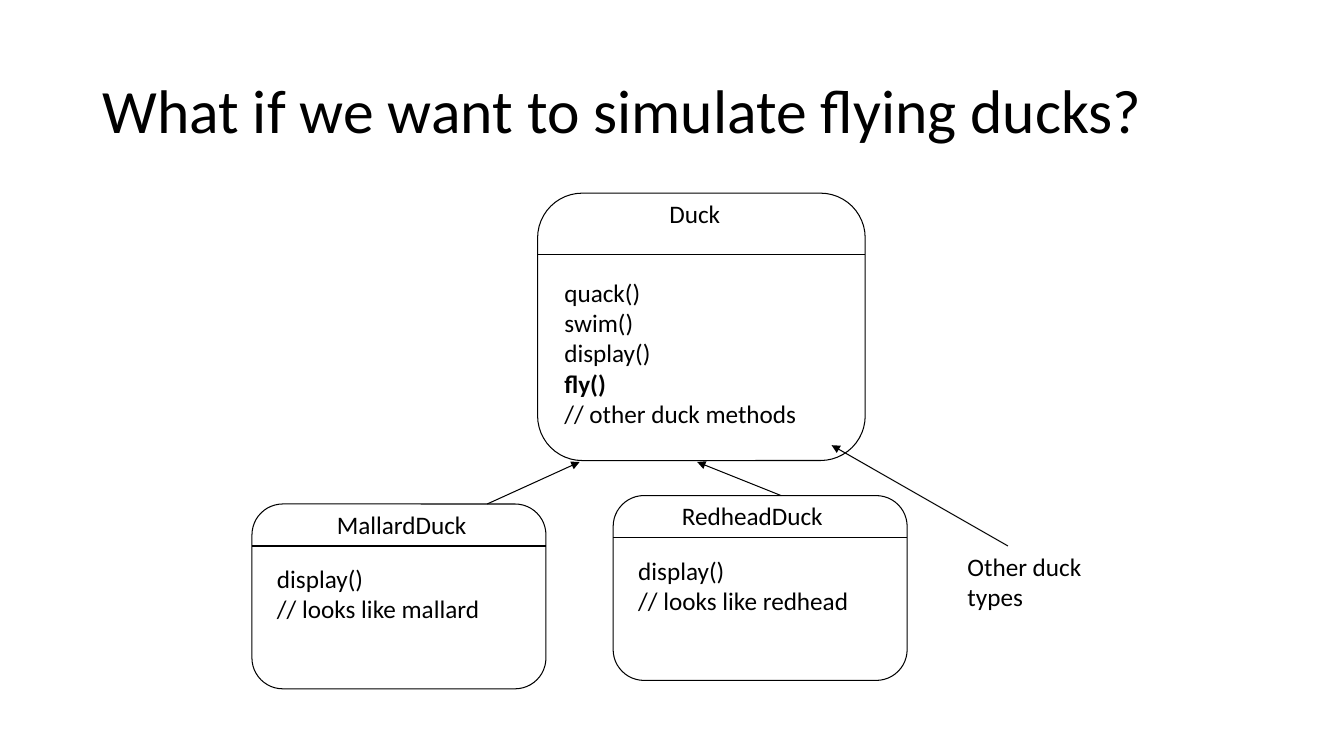
from lxml import etree
from pptx import Presentation
from pptx import util as u
from pptx.dml import color
from pptx.enum import shapes, text
from pptx.oxml import ns

Pt = u.Pt


def ink(value):
    """Turn a hex string into a colour."""
    return color.RGBColor.from_string(value)


class ClassDiagram:
    """Draws class boxes, labels and arrows on one slide in one style."""

    black = "000000"
    font = {"name": "Calibri", "size": Pt(18), "bold": False}

    def __init__(self, slide):
        """Keep the slide that is drawn on."""
        self.slide = slide

    def style_text(self, para, **changes):
        """Apply the shared font with any changes."""
        for key, value in {**self.font, **changes}.items():
            setattr(para.font, key, value)
        para.font.color.rgb = ink(self.black)

    def style_line(self, item):
        """Give an outline or line the shared pen."""
        item.line.color.rgb = ink(self.black)
        item.line.width = Pt(0.75)

    def title(self, words, left, top, width, height):
        """Place and format the title placeholder."""
        title = self.slide.shapes.title
        place = {"left": left, "top": top, "width": width, "height": height}
        for key, value in place.items():
            setattr(title, key, Pt(value))
        title.text_frame.text = words
        title.text_frame.vertical_anchor = text.MSO_ANCHOR.MIDDLE
        para = title.text_frame.paragraphs[0]
        para.alignment = text.PP_ALIGN.LEFT
        para.line_spacing = 0.9
        self.style_text(para, size=Pt(44))

    def label(self, lines, left, top, width, bold=()):
        """Write lines of text, one paragraph each."""
        height = 7.2 + 21.6 * len(lines)
        box = self.slide.shapes.add_textbox(Pt(left), Pt(top), Pt(width), Pt(height))
        frame = box.text_frame
        frame.word_wrap = False
        frame.auto_size = text.MSO_AUTO_SIZE.SHAPE_TO_FIT_TEXT
        frame.text = "\n".join(lines)
        for para in frame.paragraphs:
            self.style_text(para, bold=para.text in bold)

    def line(self, start, end, arrow=False):
        """Draw a straight line, with an arrowhead at its end if asked."""
        line = self.slide.shapes.add_connector(
            shapes.MSO_CONNECTOR.STRAIGHT, *map(Pt, (*start, *end)))
        self.style_line(line)
        if arrow:
            head = etree.SubElement(line.line._get_or_add_ln(), ns.qn("a:tailEnd"))
            head.set("type", "triangle")
        etree.SubElement(line._element.spPr, ns.qn("a:effectLst"))

    def class_box(self, place, header, name, methods, bold=()):
        """Draw a rounded class box with its name, divider and methods."""
        left, top, width, height = place
        box = self.slide.shapes.add_shape(
            shapes.MSO_SHAPE.ROUNDED_RECTANGLE, *map(Pt, place))
        box.adjustments[0] = 0.167
        box.shadow.inherit = False
        box.fill.background()
        self.style_line(box)
        name_text, name_left, name_width = name
        self.label([name_text], name_left, top, name_width)
        self.line((left, top + header), (left + width, top + header))
        lines, inset, drop, text_width = methods
        self.label(lines, left + inset, top + drop, text_width, bold)


def main():
    """Build the slide and save it."""
    deck = Presentation()
    deck.slide_width, deck.slide_height = Pt(960), Pt(540)
    page = ClassDiagram(deck.slides.add_slide(deck.slide_layouts[5]))
    page.title("What if we want to simulate flying ducks?", 66, 28.75, 828, 104.4)

    duck_methods = ["quack()", "swim()", "display()", "fly()", "// other duck methods"]
    page.class_box((384, 138, 234, 191), 43.5, ("Duck", 471, 51),
                   (duck_methods, 12, 56.5, 187), bold=("fly()",))
    subclasses = [
        (180, 360, ("MallardDuck", 233.5, 108), "// looks like mallard", 160.5),
        (438, 354, ("RedheadDuck", 480, 116.5), "// looks like redhead", 166.5),
    ]
    for left, top, name, remark, text_width in subclasses:
        page.class_box((left, top, 210, 132), 30, name,
                       (["display()", remark], 10.8, 39, text_width))

    arrows = [((348, 360), (414, 330)),
              ((558, 354), (498, 330)),
              ((720, 390), (594, 318))]
    for start, end in arrows:
        page.line(start, end, arrow=True)
    page.label(["Other duck", "types"], 684, 390, 96.5)
    deck.save("out.pptx")


if __name__ == "__main__":
    main()
